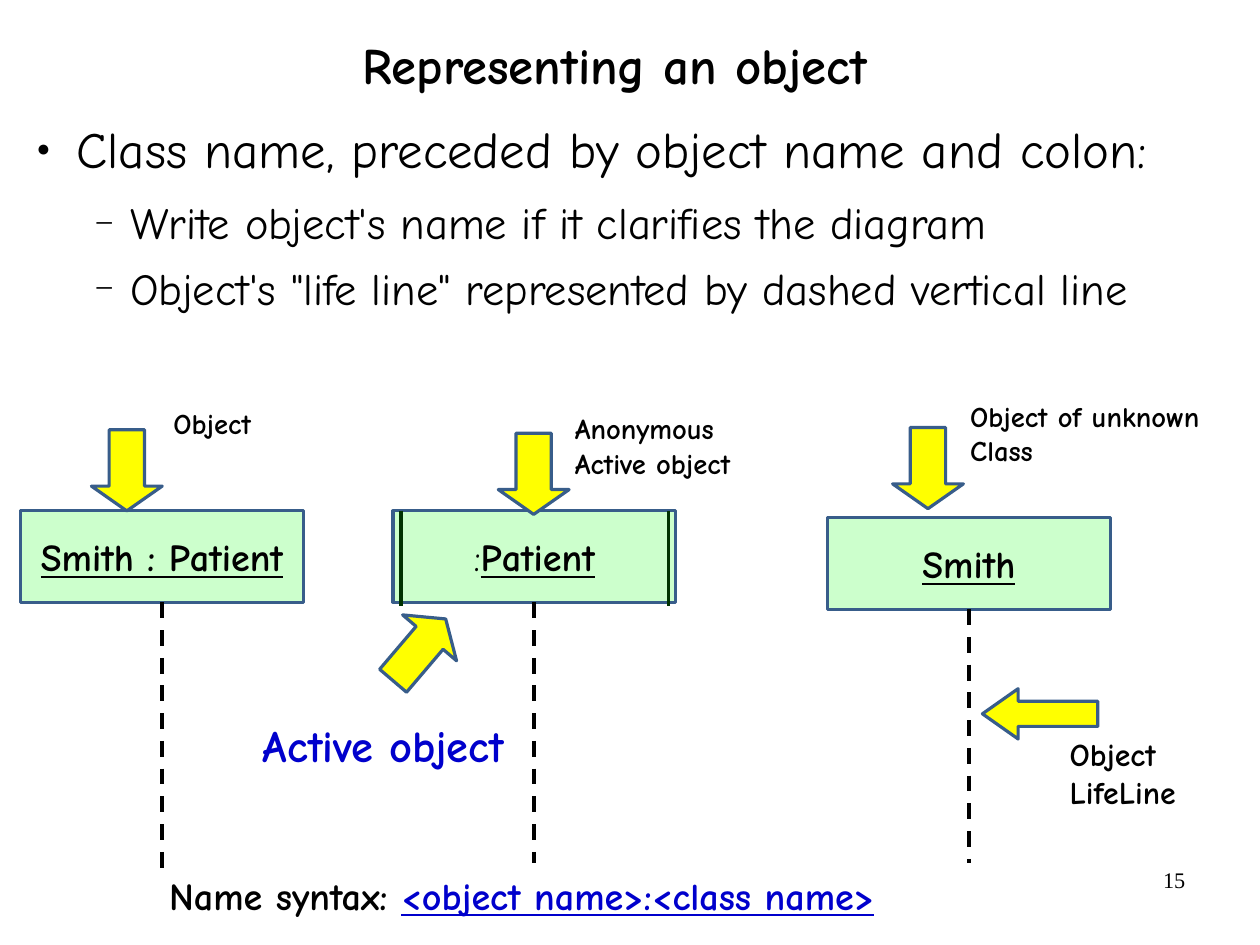
from lxml.etree import SubElement
from pptx import Presentation
from pptx.dml.color import RGBColor
from pptx.enum.dml import MSO_LINE
from pptx.enum.shapes import MSO_CONNECTOR, MSO_SHAPE
from pptx.enum.text import MSO_ANCHOR, PP_ALIGN
from pptx.oxml.ns import qn
from pptx.util import Pt

COLORS = {
    "black": "000000",
    "blue": "0000CC",
    "box": "CCFFCC",
    "edge": "385D8A",
    "arrow": "FFFF00",
    "bar": "003300",
}
BOLD = {"bold": True}
NAME = {"bold": True, "underline": True}


def rgb(name):
    return RGBColor.from_string(COLORS[name])


class ObjectSlide:
    """Draws the elements of an object notation slide in one style."""

    def __init__(self, prs, font="Comic Neue"):
        self.s = prs.slides.add_slide(prs.slide_layouts[6])
        self.font = font

    def run(self, p, text, size, color="black", **fmt):
        r = p.add_run()
        r.text = text
        for key, value in {"name": self.font, "size": Pt(size), **fmt}.items():
            setattr(r.font, key, value)
        r.font.color.rgb = rgb(color)

    def fill_text(self, tf, paragraphs, size, align=PP_ALIGN.LEFT, **frame):
        for key, value in {"word_wrap": True, **frame}.items():
            setattr(tf, key, value)
        for i, runs in enumerate(paragraphs):
            p = tf.add_paragraph() if i else tf.paragraphs[0]
            p.alignment = align
            for text, fmt in runs:
                self.run(p, text, size, **fmt)

    def text(self, x, y, w, h, paragraphs, size, **frame):
        sp = self.s.shapes.add_textbox(Pt(x), Pt(y), Pt(w), Pt(h))
        self.fill_text(sp.text_frame, paragraphs, size, **frame)
        return sp.text_frame

    def bullets(self, x, y, w, h, items):
        sp = self.s.shapes.add_textbox(Pt(x), Pt(y), Pt(w), Pt(h))
        tf = sp.text_frame
        tf.word_wrap = True
        tf.margin_left = tf.margin_top = tf.margin_right = tf.margin_bottom = 0
        styles = [("●", 45, 33.1, -25.2, 32, 13.8), ("−", 75, 67, -22.3, 28, 10.9)]
        for i, (level, text) in enumerate(items):
            char, percent, margin, indent, size, after = styles[level]
            p = tf.add_paragraph() if i else tf.paragraphs[0]
            pPr = p._p.get_or_add_pPr()
            pPr.set("marL", str(Pt(margin)))
            pPr.set("indent", str(Pt(indent)))
            clr = SubElement(pPr, qn("a:buClr"))
            SubElement(clr, qn("a:srgbClr"), val=COLORS["black"])
            SubElement(pPr, qn("a:buSzPct"), val=str(percent * 1000))
            SubElement(pPr, qn("a:buFont"), typeface="Times New Roman")
            SubElement(pPr, qn("a:buChar"), char=char)
            p.level = level
            p.line_spacing = 0.9
            p.space_after = Pt(after)
            self.run(p, text, size)

    def shape(self, kind, x, y, w, h, fill):
        sp = self.s.shapes.add_shape(kind, Pt(x), Pt(y), Pt(w), Pt(h))
        sp.shadow.inherit = False
        sp.fill.solid()
        sp.fill.fore_color.rgb = rgb(fill)
        sp.line.color.rgb = rgb("edge")
        sp.line.width = Pt(2)
        return sp

    def box(self, x, y, runs):
        sp = self.shape(MSO_SHAPE.RECTANGLE, x, y, 178, 57.6, "box")
        self.fill_text(sp.text_frame, [runs], 24, PP_ALIGN.CENTER,
                       vertical_anchor=MSO_ANCHOR.MIDDLE)
        return sp

    def arrow(self, x, y, w=44.6, h=51.1, head=0.35, rotation=0):
        sp = self.shape(MSO_SHAPE.DOWN_ARROW, x, y, w, h, "arrow")
        sp.adjustments[0], sp.adjustments[1] = 0.5, head
        sp.rotation = rotation

    def line(self, x, top, bottom, color, width):
        ln = self.s.shapes.add_connector(
            MSO_CONNECTOR.STRAIGHT, Pt(x), Pt(top), Pt(x), Pt(bottom))
        SubElement(ln._element.spPr, qn("a:effectLst"))
        ln.line.color.rgb = rgb(color)
        ln.line.width = Pt(width)
        return ln

    def lifeline(self, box, bottom):
        x = (box.left + box.width // 2) / Pt(1)
        ln = self.line(x, (box.top + box.height) / Pt(1), bottom, "black", 2.5)
        ln.line.dash_style = MSO_LINE.DASH
        ln.begin_connect(box, 2)


def main():
    prs = Presentation()
    prs.slide_width, prs.slide_height = Pt(793.75), Pt(595.25)
    slide = ObjectSlide(prs)

    slide.text(568.8, 542.2, 185, 41, [[("15", {"name": "Times New Roman"})]], 14,
               align=PP_ALIGN.RIGHT)
    title = slide.text(49, -6.5, 676.8, 98.6, [[("Representing an object", BOLD)]], 32,
                       align=PP_ALIGN.CENTER, vertical_anchor=MSO_ANCHOR.MIDDLE,
                       margin_left=0, margin_top=0, margin_right=0, margin_bottom=0)
    title.paragraphs[0].line_spacing = 0.88
    slide.bullets(15.1, 78.5, 769, 450, [
        (0, "Class name, preceded by object name and colon:"),
        (1, "Write object's name if it clarifies the diagram"),
        (1, "Object's \"life line\" represented by dashed vertical line"),
    ])

    objects = [
        (13, 321.8, 552.2, [("Smith : Patient", NAME)]),
        (247.6, 321.8, 543.6, [(":", {}), ("Patient", NAME)]),
        (521.4, 326.2, 543.6, [("Smith", NAME)]),
    ]
    for x, y, bottom, runs in objects:
        slide.lifeline(slide.box(x, y, runs), bottom)
    for x in (252.7, 421.2):
        slide.line(x, 321.8, 381.6, "bar", 2.25)

    for x, y in [(57.6, 270.7), (313.9, 272.9), (562.3, 269.3)]:
        slide.arrow(x, y)
    slide.arrow(241.9, 383.8, rotation=220.4)
    slide.arrow(639.4, 413.3, 31.7, 72.7, head=0.71, rotation=90)

    labels = [
        (102.2, 252, 211.7, 28.8, 18, "black", ["Object"]),
        (355, 255.6, 212.4, 51.1, 18, "black", ["Anonymous", "Active object"]),
        (604.1, 247.7, 175, 50.4, 18, "black", ["Object of unknown Class"]),
        (158.4, 448.6, 211.7, 41, 28, "blue", ["Active object"]),
        (666.7, 459.4, 120, 55.4, 20, "black", ["Object", "LifeLine"]),
    ]
    for x, y, w, h, size, color, lines in labels:
        slide.text(x, y, w, h, [[(t, {"color": color, **BOLD})] for t in lines], size)
    slide.text(99.4, 545.8, 663.8, 36, [[
        ("Name syntax: ", BOLD),
        ("<object name>:<class name>", {"color": "blue", **NAME}),
    ]], 24)

    prs.save("out.pptx")


if __name__ == "__main__":
    main()
